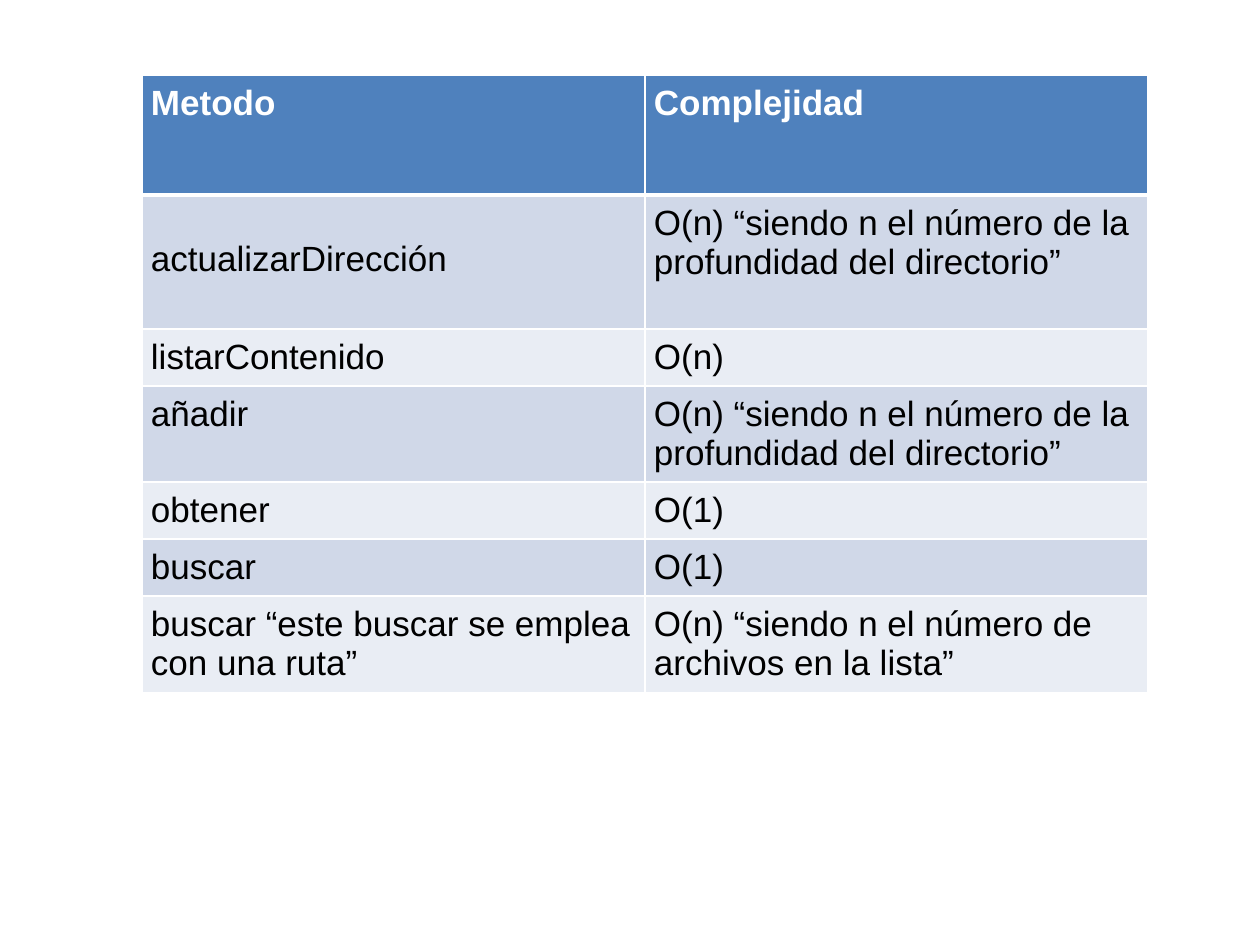
from lxml.etree import SubElement
from pptx import Presentation
from pptx.dml.color import RGBColor
from pptx.oxml.ns import qn
from pptx.util import Emu, Pt

SCALE = 914400 // 126
HEAD, ODD, EVEN = "4F81BD", "D0D8E8", "E9EDF4"
WHITE, BLACK = "FFFFFF", "000000"
DEPTH = "O(n) “siendo n el número de la profundidad del directorio”"
ROWS = [
    (120, "Metodo", "Complejidad"),
    (134, "actualizarDirección", DEPTH),
    (56, "listarContenido", "O(n)"),
    (83, "añadir", DEPTH),
    (56, "obtener", "O(1)"),
    (56, "buscar", "O(1)"),
    (56, "buscar “este buscar se emplea con una ruta”",
     "O(n) “siendo n el número de archivos en la lista”"),
]


def px(n):
    return Emu(n * SCALE)


def paint(fill, color):
    fill.solid()
    fill.fore_color.rgb = RGBColor.from_string(color)


def add_edge(cell, side, width):
    props = cell._tc.get_or_add_tcPr()
    line = SubElement(props, qn(f"a:ln{side}"), w=str(Pt(width)))
    fill = SubElement(line, qn("a:solidFill"))
    SubElement(fill, qn("a:srgbClr"), val=WHITE)


def add_text(cell, text, color, bold):
    run = cell.text_frame.paragraphs[0].add_run()
    run.text = text
    font = run.font
    font.name, font.size, font.bold = "Arial", Pt(20), bold
    paint(font.fill, color)


def fill_cell(cell, row, text):
    head = row == 0
    cell.margin_left = cell.margin_right = px(9)
    cell.margin_top = cell.margin_bottom = px(9)
    thick = {"T": row == 1, "B": head}
    for side in "LRTB":
        add_edge(cell, side, 3 if thick.get(side) else 1)
    paint(cell.fill, HEAD if head else ODD if row % 2 else EVEN)
    add_text(cell, text, WHITE if head else BLACK, head)


def add_grid(slide):
    high = sum(row[0] for row in ROWS)
    frame = slide.shapes.add_table(
        len(ROWS), 2, px(142), px(75), px(1006), px(high))
    table = frame.table
    for col in table.columns:
        col.width = px(503)
    for i, (tall, *texts) in enumerate(ROWS):
        table.rows[i].height = px(tall)
        for j, text in enumerate(texts):
            fill_cell(table.cell(i, j), i, text)
    return table


def main():
    deck = Presentation()
    deck.slide_width, deck.slide_height = px(1260), px(945)
    slide = deck.slides.add_slide(deck.slide_layouts[6])
    paint(slide.background.fill, WHITE)
    table = add_grid(slide)
    table.cell(1, 0).margin_top = px(45)
    deck.save("out.pptx")


if __name__ == "__main__":
    main()
